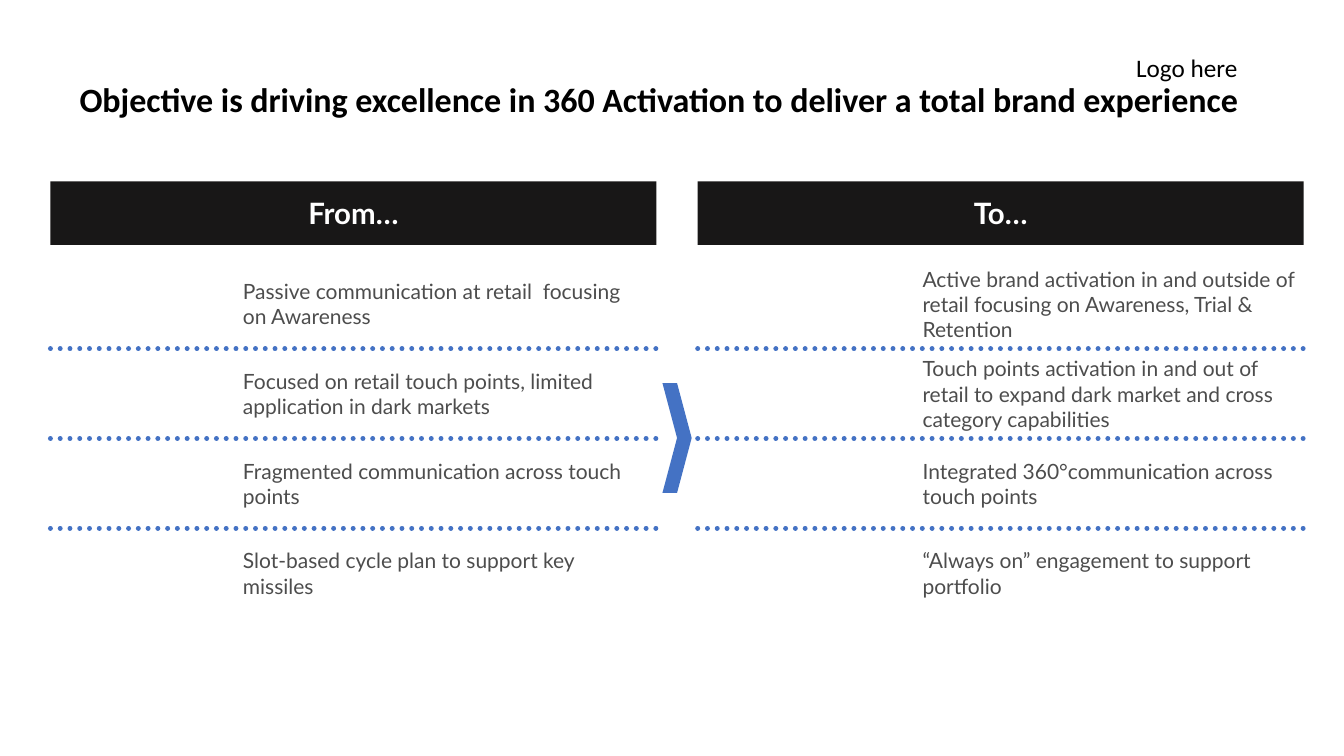
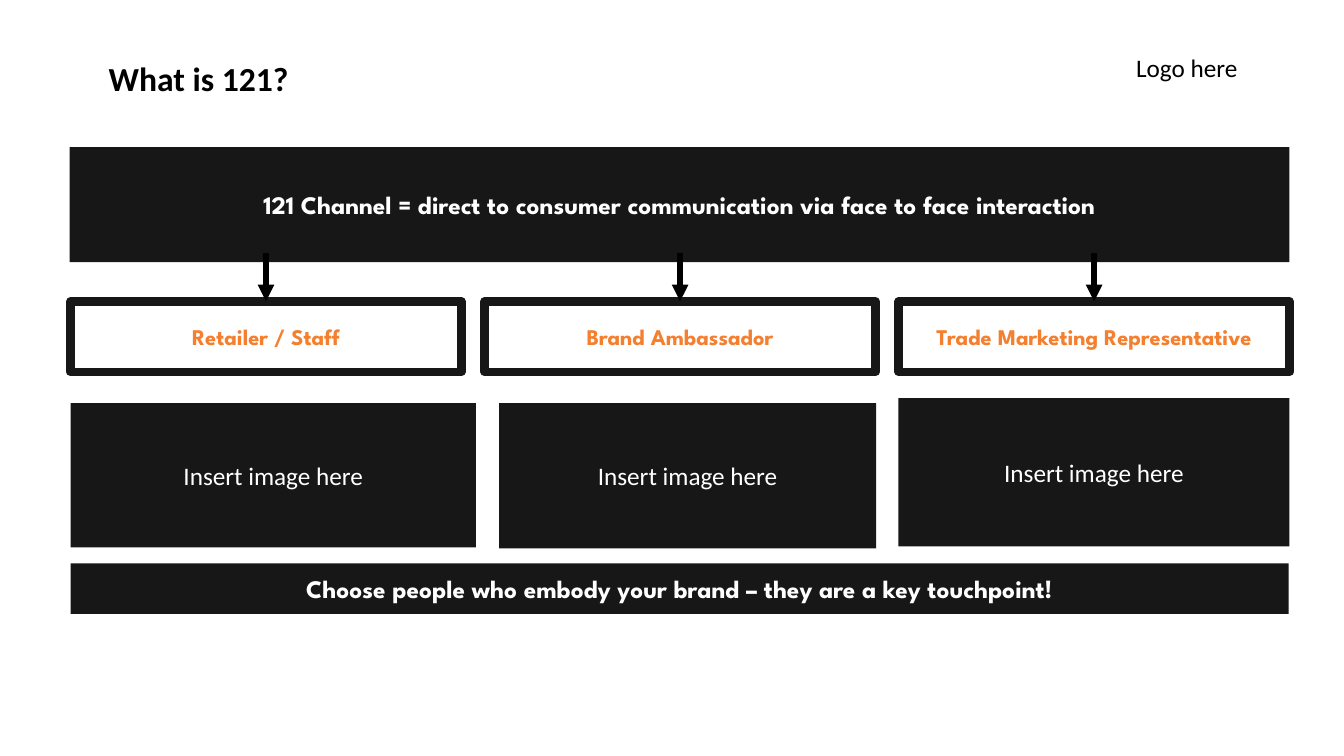
from lxml.etree import SubElement
from pptx import Presentation
from pptx.dml.color import RGBColor
from pptx.enum.dml import MSO_LINE
from pptx.enum.shapes import MSO_CONNECTOR, MSO_SHAPE
from pptx.enum.text import MSO_ANCHOR, PP_ALIGN
from pptx.oxml.ns import qn
from pptx.util import Inches, Pt

BLACK = RGBColor(0x00, 0x00, 0x00)
WHITE = RGBColor(0xFF, 0xFF, 0xFF)
DARK = RGBColor(0x18, 0x17, 0x17)
BLUE = RGBColor(0x44, 0x72, 0xC4)
GREY = RGBColor(0x4D, 0x4D, 0x4D)
ORANGE = RGBColor(0xF3, 0x7F, 0x2F)
BODY, PANEL, DISPLAY = "Calibri", "Lato", "League Spartan"

FROM_ROWS = [
    "Passive communication at retail  focusing on Awareness",
    "Focused on retail touch points, limited application in dark markets",
    "Fragmented communication across touch points",
    "Slot-based cycle plan to support key missiles",
]
TO_ROWS = [
    "Active brand activation in and outside of retail focusing on Awareness, Trial & Retention",
    "Touch points activation in and out of retail to expand dark market and cross category capabilities",
    "Integrated 360°communication across touch points",
    "“Always on” engagement to support portfolio",
]
ROLES = ["Retailer / Staff", "Brand Ambassador", "Trade Marketing Representative"]
IMAGE_BOXES = [(0.7, 4, 4.02, 1.43), (4.95, 4, 3.74, 1.44), (8.91, 3.95, 3.88, 1.47)]


def inches(*lengths):
    """Convert lengths in inches to slide units."""
    return [Inches(n) for n in lengths]


def write(sp, text, font, size, color, bold=False, align=PP_ALIGN.LEFT, anchor=MSO_ANCHOR.MIDDLE):
    """Put one styled run into a shape and return its paragraph."""
    tf = sp.text_frame
    tf.word_wrap = True
    tf.vertical_anchor = anchor
    p = tf.paragraphs[0]
    p.alignment = align
    r = p.add_run()
    r.text = text
    r.font.name, r.font.size, r.font.bold = font, Pt(size), bold
    r.font.color.rgb = color
    return p


def trim(sp, side, end):
    """Set the side and the top and bottom insets of a shape's text."""
    tf = sp.text_frame
    tf.margin_left, tf.margin_right = inches(side, side)
    tf.margin_top, tf.margin_bottom = inches(end, end)


def block(s, box, fill=DARK, kind=MSO_SHAPE.RECTANGLE):
    """Add a flat filled shape without outline."""
    sp = s.shapes.add_shape(kind, *inches(*box))
    sp.shadow.inherit = False
    sp.fill.solid()
    sp.fill.fore_color.rgb = fill
    sp.line.fill.background()
    return sp


def band(s, box, text, font, size, bold=True):
    """Add a dark band with centred white text."""
    sp = block(s, box)
    trim(sp, 0, 0.04)
    write(sp, text, font, size, WHITE, bold, PP_ALIGN.CENTER)


def rule(s, x1, y1, x2, y2, color, width):
    """Add a straight line without shadow."""
    cx = s.shapes.add_connector(MSO_CONNECTOR.STRAIGHT, *inches(x1, y1, x2, y2))
    cx.line.color.rgb = color
    cx.line.width = Pt(width)
    SubElement(cx._element.spPr, qn("a:effectLst"))
    return cx


def heading(s, box, text, size):
    """Add the slide title and the logo label."""
    logo = s.shapes.add_textbox(*inches(11.17, 0.47, 3, 0.4))
    write(logo, "Logo here", BODY, 18, BLACK, anchor=MSO_ANCHOR.TOP)
    title = s.shapes.add_textbox(*inches(*box))
    write(title, text, BODY, size, BLACK, True).line_spacing = 0.9


def panel(s, box, header, rows, indent, text_width):
    """Add a header and dotted rows of text inside a box."""
    x, y, w, h = box
    head, gap = 0.63, 0.14
    band(s, (x, y, w, head), header, PANEL, 21)
    top = y + head + gap
    step = (h - head - gap) / len(rows)
    for i, text in enumerate(rows):
        row_y = top + i * step
        if i:
            cx = rule(s, x, row_y, x + w, row_y, BLUE, 3.5)
            cx.line.dash_style = MSO_LINE.ROUND_DOT
            cx.line._get_or_add_ln().set("cap", "rnd")
        tb = s.shapes.add_textbox(*inches(x + indent, row_y, text_width, step))
        trim(tb, 0, 0)
        write(tb, text, PANEL, 15, GREY)


def roles(s, box, names, gap, arrow):
    """Add outlined role boxes in equal columns, each with an arrow from above."""
    x, y, w, h = box
    col = (w - gap * (len(names) - 1)) / len(names)
    for i, name in enumerate(names):
        left = x + i * (col + gap)
        sp = block(s, (left, y, col, h))
        sp.fill.background()
        sp.line.color.rgb = DARK
        sp.line.width = Pt(6)
        SubElement(sp.line._get_or_add_ln(), qn("a:round"))
        trim(sp, 0, 0.04)
        write(sp, name, DISPLAY, 16, ORANGE, True, PP_ALIGN.CENTER)
        mid = left + col / 2
        cx = rule(s, mid, y - arrow, mid, y, BLACK, 4)
        cx.end_connect(sp, 0)
        SubElement(cx.line._get_or_add_ln(), qn("a:tailEnd"), type="triangle")


def objective_slide(s):
    """Build the comparison of the present and the target."""
    heading(s, (0.69, 0.55, 12.35, 0.91),
            "Objective is driving excellence in 360 Activation to deliver a total brand experience", 24.3)
    panel(s, (0.5, 1.8, 6.01, 4.33), "From…", FROM_ROWS, 1.91, 4)
    panel(s, (6.92, 1.8, 6.01, 4.33), "To…", TO_ROWS, 2.23, 3.78)
    block(s, (6.57, 3.8, 0.29, 1.09), BLUE, MSO_SHAPE.CHEVRON)


def channel_slide(s):
    """Build the explanation of the channel and its roles."""
    heading(s, (0.98, 0.55, 12.35, 0.5), "What is 121?", 24)
    band(s, (0.69, 1.46, 12.1, 1.14),
         "121 Channel = direct to consumer communication via face to face interaction", DISPLAY, 18)
    roles(s, (0.7, 2.99, 12.09, 0.7), ROLES, 0.23, 0.48)
    for box in IMAGE_BOXES:
        band(s, box, "Insert image here", BODY, 18, False)
    band(s, (0.7, 5.59, 12.08, 0.5),
         "Choose people who embody your brand – they are a key touchpoint!", DISPLAY, 18)


def main():
    """Create the presentation and save it."""
    prs = Presentation()
    prs.slide_width, prs.slide_height = inches(13.33, 7.5)
    for build in (objective_slide, channel_slide):
        build(prs.slides.add_slide(prs.slide_layouts[6]))
    prs.save("out.pptx")


if __name__ == "__main__":
    main()
